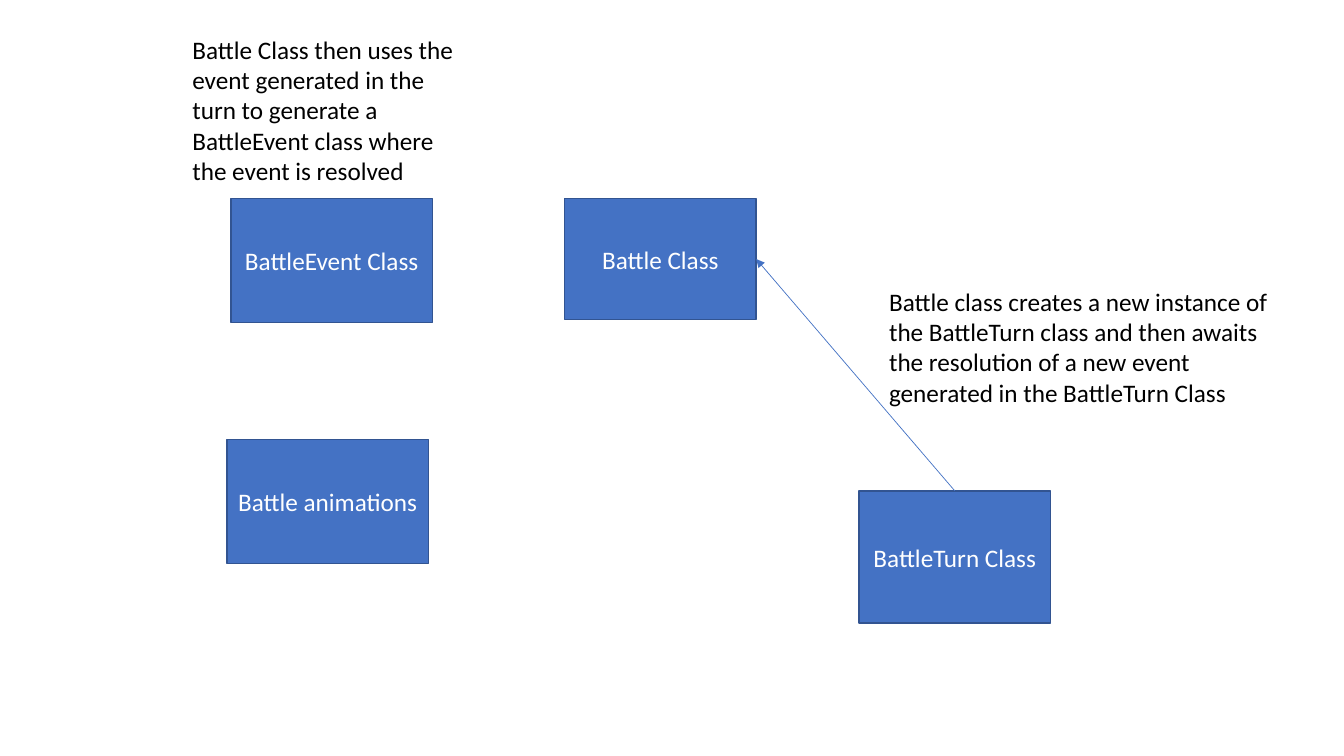
"""Build the battle class diagram slide."""
import pptx
import pptx.dml.color
import pptx.enum.shapes
import pptx.enum.text
import pptx.oxml.ns
import pptx.util
from lxml import etree

Inches = pptx.util.Inches
Pt = pptx.util.Pt
RGBColor = pptx.dml.color.RGBColor

BLUE = RGBColor(0x44, 0x72, 0xC4)
DARK_BLUE = RGBColor(0x32, 0x54, 0x91)
WHITE = RGBColor(0xFF, 0xFF, 0xFF)
BLACK = RGBColor(0, 0, 0)

CLASSES = [
    ("Battle Class", 5.6, 1.97, 1.9, 1.2),
    ("BattleTurn Class", 8.52, 4.87, 1.9, 1.31),
    ("BattleEvent Class", 2.29, 1.97, 2, 1.23),
    ("Battle animations", 2.25, 4.36, 2, 1.23),
]
NOTES = [
    ("Battle class creates a new instance of the BattleTurn class and then awaits "
     "the resolution of a new event generated in the BattleTurn Class",
     8.72, 2.79, 4, 1.31),
    ("Battle Class then uses the event generated in the turn to generate a "
     "BattleEvent class where the event is resolved", 1.81, 0.29, 2.84, 1.62),
]
ARROWS = [("BattleTurn Class", "Battle Class")]
TOP_SITE, RIGHT_SITE = 0, 3


def write(frame, text, color):
    frame.word_wrap = True
    frame.text = text
    font = frame.paragraphs[0].runs[0].font
    font.name, font.size, font.color.rgb = "Calibri", Pt(18), color


def add_class(slide, name, *place):
    box = slide.shapes.add_shape(
        pptx.enum.shapes.MSO_SHAPE.RECTANGLE, *map(Inches, place))
    box.shadow.inherit = False
    box.fill.solid()
    box.fill.fore_color.rgb = BLUE
    box.line.color.rgb = DARK_BLUE
    box.line.width = Pt(1)
    write(box.text_frame, name, WHITE)
    box.text_frame.vertical_anchor = pptx.enum.text.MSO_ANCHOR.MIDDLE
    box.text_frame.paragraphs[0].alignment = pptx.enum.text.PP_ALIGN.CENTER
    return box


def add_note(slide, text, *place):
    note = slide.shapes.add_textbox(*map(Inches, place))
    write(note.text_frame, text, BLACK)
    note.text_frame.auto_size = pptx.enum.text.MSO_AUTO_SIZE.SHAPE_TO_FIT_TEXT


def add_arrow(slide, source, target):
    arrow = slide.shapes.add_connector(
        pptx.enum.shapes.MSO_CONNECTOR.STRAIGHT, 0, 0, 0, 0)
    arrow.begin_connect(source, TOP_SITE)
    arrow.end_connect(target, RIGHT_SITE)
    arrow.line.color.rgb = BLUE
    arrow.line.width = Pt(0.5)
    qn = pptx.oxml.ns.qn
    etree.SubElement(arrow.line._get_or_add_ln(), qn("a:tailEnd"), type="triangle")
    etree.SubElement(arrow._element.spPr, qn("a:effectLst"))


deck = pptx.Presentation()
deck.slide_width, deck.slide_height = Inches(13.33), Inches(7.5)
slide = deck.slides.add_slide(deck.slide_layouts[6])
boxes = {name: add_class(slide, name, *place) for name, *place in CLASSES}
for source, target in ARROWS:
    add_arrow(slide, boxes[source], boxes[target])
for text, *place in NOTES:
    add_note(slide, text, *place)
deck.save("out.pptx")
